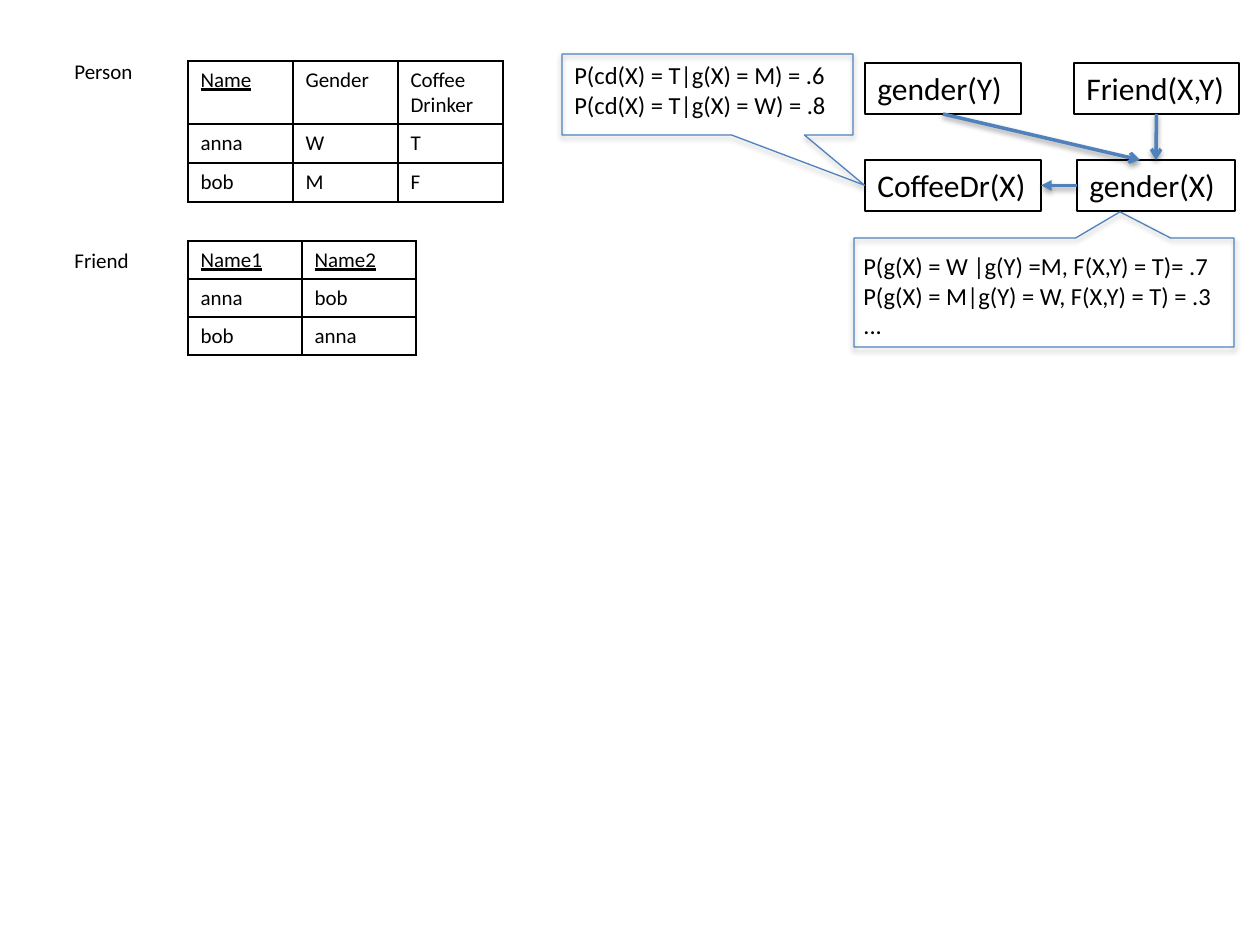
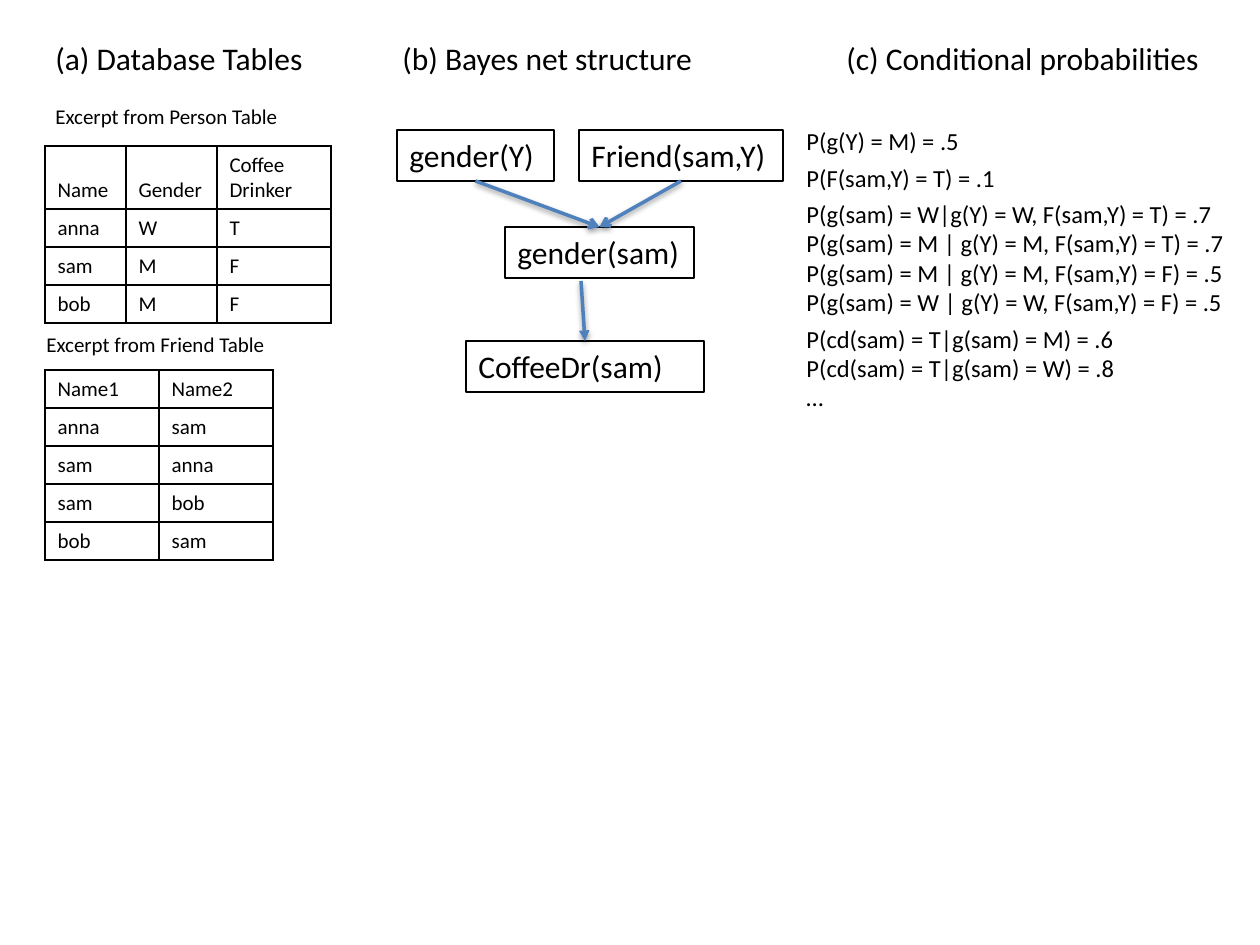
from dataclasses import dataclass

from lxml import etree
from pptx import Presentation
from pptx import util as u
from pptx.dml.color import RGBColor
from pptx.enum import shapes, text
from pptx.oxml.ns import qn

PX = 914400 / 126  # EMU in one px


@dataclass(frozen=True)
class Theme:
    font: str = "Calibri"
    ink: RGBColor = RGBColor(0, 0, 0)
    accent: RGBColor = RGBColor(0x4F, 0x81, 0xBD)
    heading: int = 18
    formula: int = 14
    label: int = 12
    outline: float = 0.75
    arrow: int = 2
    border: int = 1


theme = Theme()


def write(tf, lines, size, wrap=True):
    """Fill a text frame; a line that starts with ^ gets a gap above it."""
    tf.word_wrap = wrap
    tf.auto_size = text.MSO_AUTO_SIZE.SHAPE_TO_FIT_TEXT
    tf.vertical_anchor = text.MSO_ANCHOR.TOP
    for i, line in enumerate(lines):
        p = tf.paragraphs[0] if i == 0 else tf.add_paragraph()
        p.text = line.lstrip("^")
        p.alignment = text.PP_ALIGN.LEFT
        if line.startswith("^"):
            p.space_before = u.Pt(4)
        p.font.name = theme.font
        p.font.size = u.Pt(size)
        p.font.color.rgb = theme.ink


def add_shadow(sp, alpha, dist):
    """Give a shape or connector a soft shadow below; alpha in percent, dist in EMU."""
    effects = etree.SubElement(sp._element.spPr, qn("a:effectLst"))
    shadow = etree.SubElement(effects, qn("a:outerShdw"), blurRad="40000",
                              dist=str(dist), dir="5400000", rotWithShape="0")
    color = etree.SubElement(shadow, qn("a:srgbClr"), val=str(theme.ink))
    etree.SubElement(color, qn("a:alpha"), val=str(alpha * 1000))


prs = Presentation()
prs.slide_width, prs.slide_height = int(1260 * PX), int(945 * PX)
blank = prs.slide_layouts[6]
rules, example = (prs.slides.add_slide(blank) for _ in range(2))

# Nodes of the Bayes nets: slide, text, left, top, width, wrap
nodes = {}
for s, name, x, y, w, wrap in (
    (rules, "CoffeeDr(X)", 865, 160, 176, False),
    (rules, "Friend(X,Y)", 1074, 63, 165, False),
    (rules, "gender(X)", 1077, 160, 158, False),
    (rules, "gender(Y)", 865, 63, 156, False),
    (example, "CoffeeDr(sam)", 466, 341, 238, True),
    (example, "Friend(sam,Y)", 579, 130, 204, False),
    (example, "gender(sam)", 505, 227, 189, False),
    (example, "gender(Y)", 397, 130, 157, False),
):
    box = [int(v * PX) for v in (x, y, w, 51)]
    sp = s.shapes.add_shape(shapes.MSO_SHAPE.RECTANGLE, *box)
    sp.shadow.inherit = False
    sp.fill.background()
    sp.line.color.rgb = theme.ink
    sp.line.width = u.Pt(theme.outline)
    write(sp.text_frame, [name], theme.heading, wrap)
    nodes[s.slide_id, name] = sp

# Arrows: slide, parent, child, start, end, arrowhead, joined sides (None is free)
TOP, LEFT, BOTTOM, RIGHT = range(4)
for s, parent, child, start, end, head, out_side, in_side in (
    (rules, "Friend(X,Y)", "gender(X)", (1157, 114), (1156, 160), "arrow", BOTTOM, TOP),
    (rules, "gender(X)", "CoffeeDr(X)", (1077, 185), (1041, 185), "triangle", LEFT, RIGHT),
    (rules, "gender(Y)", "gender(X)", (943, 114), (1140, 160), "arrow", BOTTOM, None),
    (example, "Friend(sam,Y)", "gender(sam)", (681, 181), (600, 227), "arrow", BOTTOM, TOP),
    (example, "gender(sam)", "CoffeeDr(sam)", (581, 281), (585, 341), "triangle", None, TOP),
    (example, "gender(Y)", "gender(sam)", (476, 181), (600, 227), "arrow", BOTTOM, TOP),
):
    ends = [int(v * PX) for v in start + end]
    c = s.shapes.add_connector(shapes.MSO_CONNECTOR.STRAIGHT, *ends)
    if out_side is not None:
        c.begin_connect(nodes[s.slide_id, parent], out_side)
    if in_side is not None:
        c.end_connect(nodes[s.slide_id, child], in_side)
    c.line.color.rgb = theme.accent
    c.line.width = u.Pt(theme.arrow)
    etree.SubElement(c._element.spPr.find(qn("a:ln")), qn("a:tailEnd"), type=head)
    add_shadow(c, 38, 20000)

# Plain text: slide, left, top, width, height, size, wrap, lines
for s, x, y, w, h, size, wrap, lines in (
    (rules, 62, 52, 95, 38, theme.label, True, ["Person"]),
    (rules, 62, 241, 95, 38, theme.label, True, ["Friend"]),
    (rules, 562, 54, 304, 72, theme.formula, True,
     ["P(cd(X) = T|g(X) = M) = .6", "P(cd(X) = T|g(X) = W) = .8"]),
    (rules, 851, 245, 392, 102, theme.formula, True,
     ["P(g(X) = W |g(Y) =M, F(X,Y) = T)= .7",
      "P(g(X) = M|g(Y) = W, F(X,Y) = T) = .3",
      "..."]),
    (example, 43, 33, 278, 51, theme.heading, False, ["(a) Database Tables"]),
    (example, 390, 33, 320, 51, theme.heading, False, ["(b) Bayes net structure"]),
    (example, 834, 33, 382, 51, theme.heading, False, ["(c) Conditional probabilities"]),
    (example, 43, 97, 291, 38, theme.label, True, ["Excerpt from Person Table"]),
    (example, 34, 325, 301, 38, theme.label, True, ["Excerpt from Friend Table"]),
    (example, 794, 120, 450, 301, theme.formula, True,
     ["P(g(Y) = M) = .5",
      "^P(F(sam,Y) = T) = .1",
      "^P(g(sam) = W|g(Y) = W, F(sam,Y) = T) = .7",
      "P(g(sam) = M | g(Y) = M, F(sam,Y) = T) = .7",
      "P(g(sam) = M | g(Y) = M, F(sam,Y) = F) = .5",
      "P(g(sam) = W | g(Y) = W, F(sam,Y) = F) = .5",
      "^P(cd(sam) = T|g(sam) = M) = .6",
      "P(cd(sam) = T|g(sam) = W) = .8",
      "…"]),
):
    tb = s.shapes.add_textbox(*[int(v * PX) for v in (x, y, w, h)])
    write(tb.text_frame, lines, size, wrap)

# Callouts that tie the formulas to their nodes: box, pointer tip
for box, tip in (
    ((854, 238, 380, 109), (0.2, -0.74)),
    ((562, 54, 291, 81), (0.54, 1.12)),
):
    sp = rules.shapes.add_shape(shapes.MSO_SHAPE.RECTANGULAR_CALLOUT,
                                *[int(v * PX) for v in box])
    sp.adjustments[0], sp.adjustments[1] = tip
    sp.fill.background()
    sp.line.color.rgb = theme.accent
    sp.line.width = u.Pt(theme.outline)
    add_shadow(sp, 35, 23000)

# Tables: slide, left, top, column widths, header and row height, key columns, cells
person_head = ["Name", "Gender", "Coffee\vDrinker"]
friend_head = ["Name1", "Name2"]
for s, x, y, widths, head_h, row_h, keys, cells in (
    (rules, 188, 61, [105] * 3, 63, 39, 1,
     [person_head, ["anna", "W", "T"], ["bob", "M", "F"]]),
    (rules, 188, 241, [114] * 2, 38, 38, 2,
     [friend_head, ["anna", "bob"], ["bob", "anna"]]),
    (example, 45, 146, [81, 91, 114], 63, 38, 0,
     [person_head, ["anna", "W", "T"], ["sam", "M", "F"], ["bob", "M", "F"]]),
    (example, 45, 370, [114] * 2, 38, 38, 0,
     [friend_head, ["anna", "sam"], ["sam", "anna"], ["sam", "bob"], ["bob", "sam"]]),
):
    heights = [head_h] + [row_h] * (len(cells) - 1)
    box = [int(v * PX) for v in (x, y, sum(widths), sum(heights))]
    table = s.shapes.add_table(len(cells), len(widths), *box).table
    table.first_row = table.horz_banding = False
    for column, width in zip(table.columns, widths):
        column.width = int(width * PX)
    for i, (row, height) in enumerate(zip(table.rows, heights)):
        row.height = int(height * PX)
        for j, cell in enumerate(row.cells):
            cell.text = cells[i][j]
            if i == 0 and s is example:
                cell.vertical_anchor = text.MSO_ANCHOR.BOTTOM
            p = cell.text_frame.paragraphs[0]
            p.font.name = theme.font
            p.font.size = u.Pt(theme.label)
            p.font.color.rgb = theme.ink
            p.font.underline = i == 0 and j < keys
            tc_pr = cell._tc.get_or_add_tcPr()
            for side in ("a:lnL", "a:lnR", "a:lnT", "a:lnB"):
                ln = etree.SubElement(tc_pr, qn(side), w=str(int(u.Pt(theme.border))))
                fill = etree.SubElement(ln, qn("a:solidFill"))
                etree.SubElement(fill, qn("a:srgbClr"), val=str(theme.ink))
            cell.fill.background()

prs.save("out.pptx")
